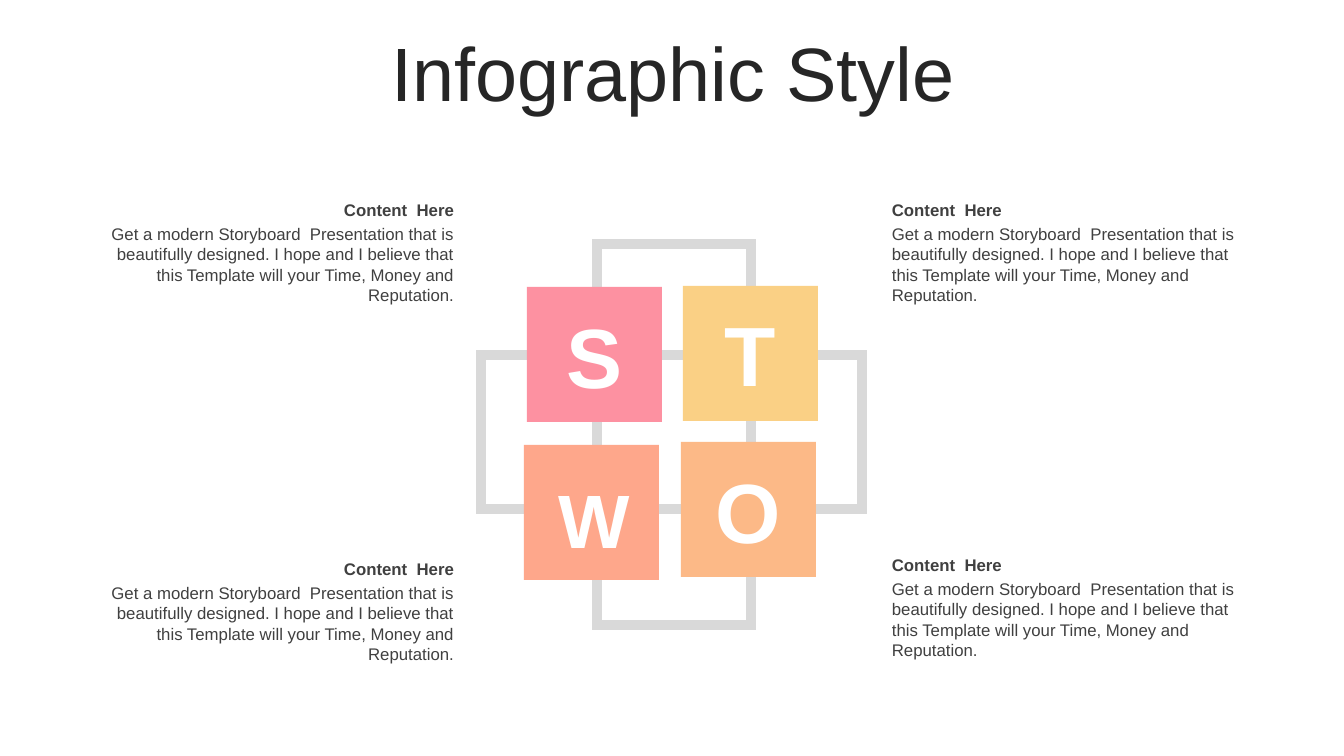
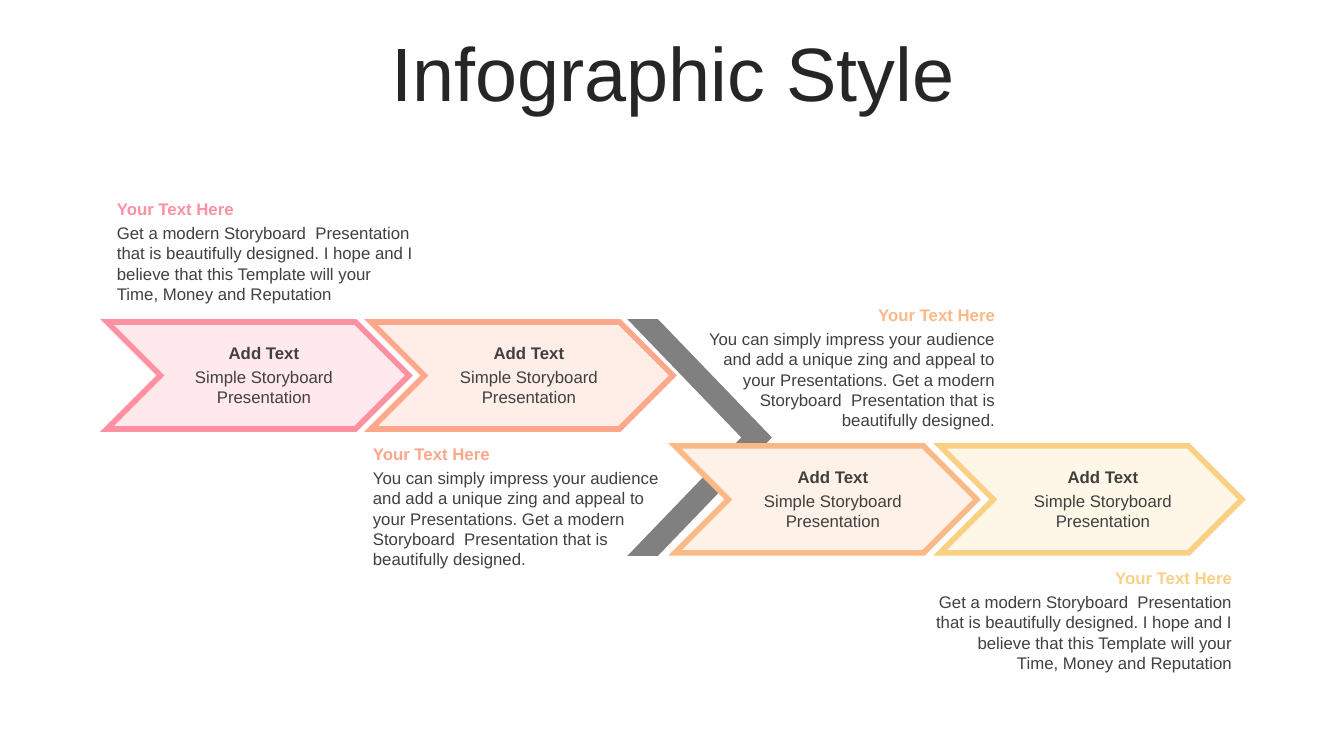
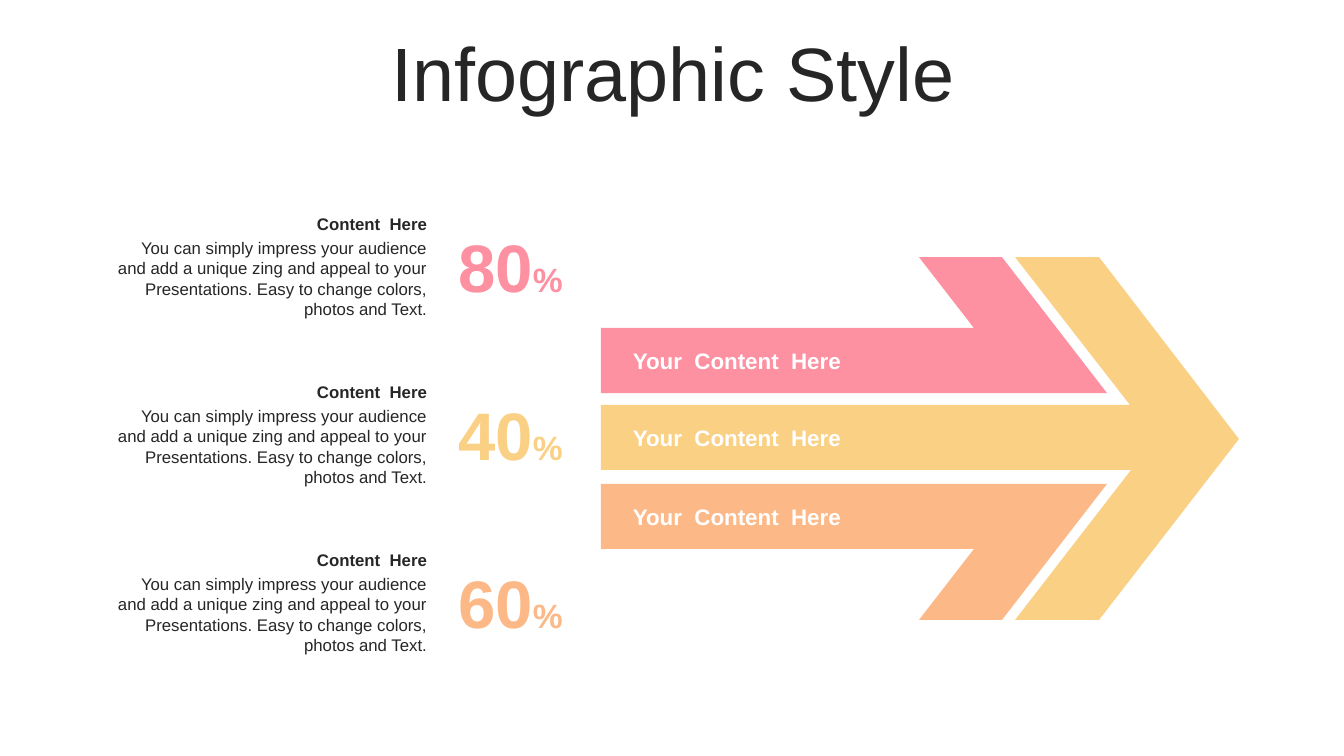
from lxml import etree
from pptx import Presentation
from pptx.dml.color import RGBColor
from pptx.enum.shapes import MSO_SHAPE
from pptx.enum.text import MSO_ANCHOR, PP_ALIGN
from pptx.oxml.ns import qn
from pptx.util import Pt

PX = 12192000 / 1344
LEFT, CENTER, RIGHT = PP_ALIGN.LEFT, PP_ALIGN.CENTER, PP_ALIGN.RIGHT
TOP, MIDDLE = MSO_ANCHOR.TOP, MSO_ANCHOR.MIDDLE
RECTANGLE, CHEVRON = MSO_SHAPE.RECTANGLE, MSO_SHAPE.CHEVRON

FONT = "Arial"
INK, TEXT, WHITE = "262626", "404040", "FFFFFF"
GREY, SILVER = "808080", "D9D9D9"
PINK, CORAL, ORANGE, YELLOW = "FD91A1", "FEA78B", "FCB987", "FAD085"


def paint(target, color):
    target.solid()
    target.fore_color.rgb = RGBColor.from_string(color)


def add_text(page, place, spans, color, bold=False, align=LEFT, anchor=TOP, spacing=1.0):
    box = page.shapes.add_textbox(*[round(value * PX) for value in place])
    frame = box.text_frame
    para = frame.paragraphs[0]
    for target, values in (
        (frame, {"word_wrap": True, "vertical_anchor": anchor}),
        (para, {"alignment": align, "line_spacing": spacing}),
    ):
        for name, value in values.items():
            setattr(target, name, value)
    for text, size in spans:
        span = para.add_run()
        span.text = text
        for name, value in {"name": FONT, "size": Pt(size), "bold": bold}.items():
            setattr(span.font, name, value)
        paint(span.font.fill, color)


deck = Presentation()
deck.slide_width = round(1344 * PX)
deck.slide_height = round(756 * PX)

pages = [deck.slides.add_slide(deck.slide_layouts[6]) for _ in range(3)]
for page in pages:
    add_text(page, (35, 37, 1276, 80), [("Infographic Style", 54)], INK,
             align=CENTER, anchor=MIDDLE, spacing=0.9)
letters_page, process_page, arrow_page = pages

shapes = [
    (letters_page, RECTANGLE, (597, 244, 154, 381), None, SILVER, 7),
    (letters_page, RECTANGLE, (481, 355, 381, 154), None, SILVER, 7),
    (letters_page, RECTANGLE, (527, 287, 135, 135), PINK, None, 0),
    (letters_page, RECTANGLE, (681, 442, 135, 135), ORANGE, None, 0),
    (letters_page, RECTANGLE, (524, 445, 135, 135), CORAL, None, 0),
    (letters_page, RECTANGLE, (683, 286, 135, 135), YELLOW, None, 0),
    (process_page, CHEVRON, (107, 322, 302, 107), "FFE9EC", PINK, 4),
    (process_page, CHEVRON, (371, 322, 302, 107), "FFEDE8", CORAL, 4),
    (process_page, CHEVRON, (634, 322, 134, 231), GREY, GREY, 4),
    (process_page, CHEVRON, (675, 446, 302, 107), "FEF1E7", ORANGE, 4),
    (process_page, CHEVRON, (940, 446, 302, 107), "FEF6E7", YELLOW, 4),
]
for page, kind, place, fill, line, weight in shapes:
    shape = page.shapes.add_shape(kind, *[round(value * PX) for value in place])
    shape.shadow.inherit = False
    if fill == GREY:
        shape.adjustments[0] = 0.83
    if fill:
        paint(shape.fill, fill)
    else:
        shape.fill.background()
    if line:
        paint(shape.line.fill, line)
        shape.line.width = Pt(weight)
        outline = shape.element.spPr.find(qn("a:ln"))
        etree.SubElement(outline, qn("a:miter"), lim="800000")
    else:
        shape.line.fill.background()

for letter, left, top, height, size in (
    ("S", 527, 299, 112, 60),
    ("T", 683, 297, 112, 60),
    ("O", 681, 454, 112, 60),
    ("W", 527, 467, 102, 54),
):
    add_text(letters_page, (left, top, 135, height), [(letter, size)], WHITE,
             bold=True, align=CENTER, anchor=MIDDLE)

upper_arrow = [(919, 257), (1002, 257), (1107, 393), (601, 393), (601, 328), (974, 328)]
lower_arrow = [(x, 877 - y) for x, y in upper_arrow]
middle_arrow = [(1015, 257), (1099, 257), (1239, 439), (1099, 620), (1015, 620),
                (1131, 470), (601, 470), (601, 405), (1130, 405)]
for points, color, label_top in (
    (upper_arrow, PINK, 342),
    (middle_arrow, YELLOW, 419),
    (lower_arrow, ORANGE, 498),
):
    builder = arrow_page.shapes.build_freeform(*points[0], scale=PX)
    builder.add_line_segments(points[1:], close=True)
    arrow = builder.convert_to_shape()
    arrow.shadow.inherit = False
    paint(arrow.fill, color)
    arrow.line.fill.background()
    add_text(arrow_page, (623, label_top, 322, 37), [("Your  Content  Here", 16)], WHITE,
             bold=True, anchor=MIDDLE)

modern = ("Get a modern Storyboard  Presentation that is beautifully designed. "
          "I hope and I believe that this Template will your Time, Money and Reputation")
impress = "You can simply impress your audience and add a unique zing and appeal to your Presentations. "
impress_modern = impress + "Get a modern Storyboard  Presentation that is beautifully designed."
impress_easy = impress + "Easy to change colors, photos and Text."
simple = "Simple Storyboard Presentation"
content, yours, add = "Content  Here", "Your Text Here", "Add Text"

blocks = [
    (letters_page, 882, 195, 367, LEFT, content, TEXT, modern + ".", TEXT),
    (letters_page, 882, 550, 367, LEFT, content, TEXT, modern + ".", TEXT),
    (letters_page, 85, 195, 379, RIGHT, content, TEXT, modern + ".", TEXT),
    (letters_page, 85, 554, 379, RIGHT, content, TEXT, modern + ".", TEXT),
    (process_page, 107, 194, 317, LEFT, yours, PINK, modern, TEXT),
    (process_page, 363, 439, 317, LEFT, yours, CORAL, impress_modern, TEXT),
    (process_page, 688, 300, 317, RIGHT, yours, ORANGE, impress_modern, TEXT),
    (process_page, 925, 563, 317, RIGHT, yours, YELLOW, modern, TEXT),
]
for left, top in ((169, 338), (434, 338), (738, 462), (1008, 462)):
    blocks.append((process_page, left, top, 190, CENTER, add, TEXT, simple, TEXT))

for row, (number, color) in enumerate((("80", PINK), ("40", YELLOW), ("60", ORANGE))):
    shift = row * 168
    add_text(arrow_page, (438, 220 + shift, 145, 92), [(number, 48), ("%", 24)], color,
             bold=True, align=CENTER, anchor=MIDDLE)
    blocks.append((arrow_page, 100, 209 + shift, 337, RIGHT, content, INK, impress_easy, INK))

for page, left, top, width, align, heading, heading_color, body, body_color in blocks:
    add_text(page, (left, top, width, 30), [(heading, 12)], heading_color, bold=True, align=align)
    add_text(page, (left, top + 24, width, 92), [(body, 12)], body_color, align=align)

deck.save("out.pptx")
